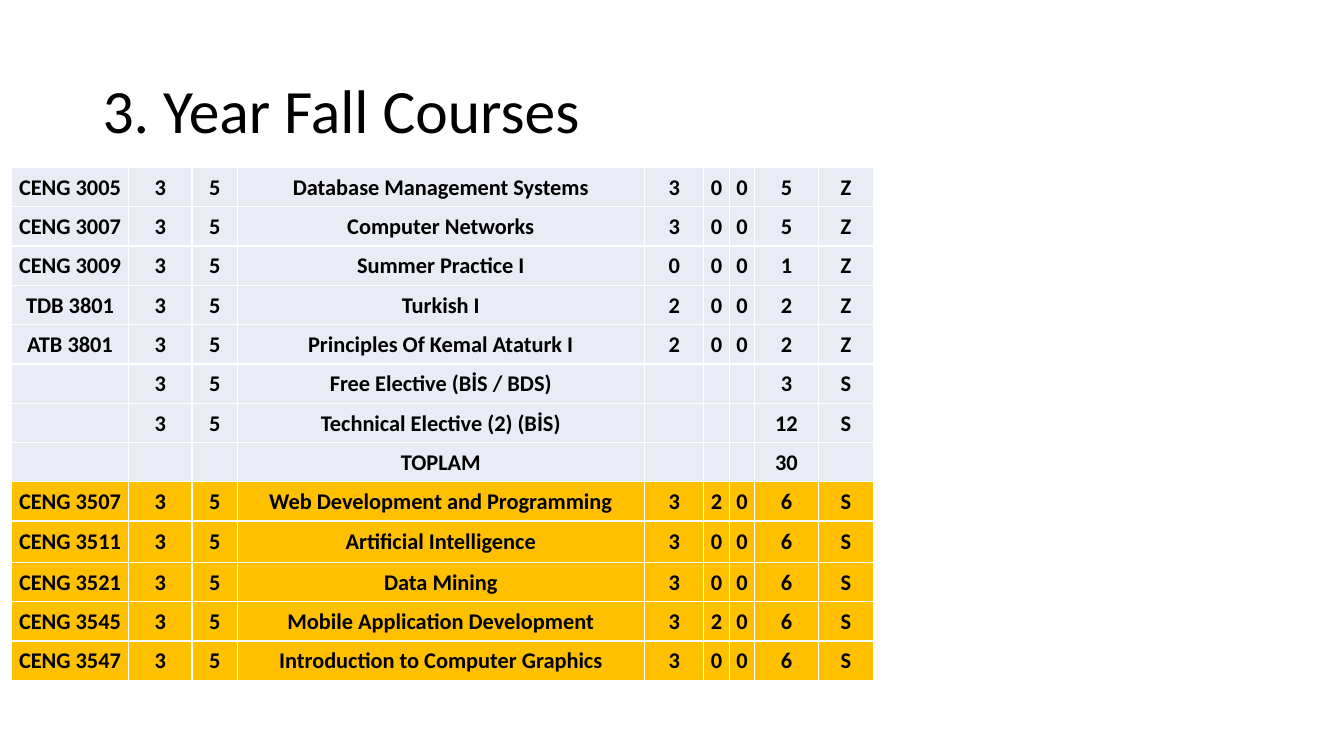
from lxml import etree
from pptx import Presentation
from pptx.dml.color import RGBColor
from pptx.enum.text import MSO_ANCHOR, PP_ALIGN
from pptx.oxml.ns import qn
from pptx.util import Cm, Pt

MIDDLE = MSO_ANCHOR.MIDDLE
LEFT, CENTER = PP_ALIGN.LEFT, PP_ALIGN.CENTER
TITLE_ONLY = 5

COLORS = {"text": "000000", "border": "FFFFFF", "required": "E9EBF5", "elective": "FFC000"}
FONT = "Calibri"

TITLE = "3. Year Fall Courses"
# code, year, semester, course, theory, practice, lab, credits, type
REQUIRED = [
    ("CENG 3005", "3", "5", "Database Management Systems", "3", "0", "0", "5", "Z"),
    ("CENG 3007", "3", "5", "Computer Networks", "3", "0", "0", "5", "Z"),
    ("CENG 3009", "3", "5", "Summer Practice I", "0", "0", "0", "1", "Z"),
    ("TDB 3801", "3", "5", "Turkish I", "2", "0", "0", "2", "Z"),
    ("ATB 3801", "3", "5", "Principles Of Kemal Ataturk I", "2", "0", "0", "2", "Z"),
    ("", "3", "5", "Free Elective (BİS / BDS)", "", "", "", "3", "S"),
    ("", "3", "5", "Technical Elective (2) (BİS)", "", "", "", "12", "S"),
    ("", "", "", "TOPLAM", "", "", "", "30", ""),
]
ELECTIVE = [
    ("CENG 3507", "3", "5", "Web Development and Programming", "3", "2", "0", "6", "S"),
    ("CENG 3511", "3", "5", "Artificial Intelligence", "3", "0", "0", "6", "S"),
    ("CENG 3521", "3", "5", "Data Mining", "3", "0", "0", "6", "S"),
    ("CENG 3545", "3", "5", "Mobile Application Development", "3", "2", "0", "6", "S"),
    ("CENG 3547", "3", "5", "Introduction to Computer Graphics", "3", "0", "0", "6", "S"),
]
COLUMN_WIDTHS = [2.95, 1.6, 1.14, 10.26, 1.5, 0.64, 0.64, 1.6, 1.4]
ROW_HEIGHT, TALL_ROW_HEIGHT = 0.99, 1.04
TALL_COURSE = "CENG 3511"


def add_span(para, text, size, bold=False):
    """Add one formatted run to a paragraph."""
    span = para.add_run()
    span.text = text
    span.font.name = FONT
    span.font.size = Pt(size)
    span.font.bold = bold
    span.font.color.rgb = RGBColor.from_string(COLORS["text"])


def add_borders(cell):
    """Draw a thin line on all four sides of a cell."""
    properties = cell._tc.get_or_add_tcPr()
    for side in ("a:lnL", "a:lnR", "a:lnT", "a:lnB"):
        line = etree.SubElement(properties, qn(side), w=str(Pt(1)))
        fill = etree.SubElement(line, qn("a:solidFill"))
        etree.SubElement(fill, qn("a:srgbClr"), val=COLORS["border"])


def fill_cell(cell, text, color):
    """Format a table cell and write its text."""
    add_borders(cell)
    cell.fill.solid()
    cell.fill.fore_color.rgb = RGBColor.from_string(color)
    cell.vertical_anchor = MIDDLE
    cell.margin_left = cell.margin_right = cell.margin_top = Cm(0.03)
    cell.margin_bottom = 0
    para = cell.text_frame.paragraphs[0]
    para.alignment = CENTER
    if text:
        add_span(para, text, 16, bold=True)


def add_title(page):
    """Place the slide title."""
    box = page.shapes.title
    box.left, box.top, box.width, box.height = Cm(2.33), Cm(1.01), Cm(29.21), Cm(3.68)
    box.text_frame.vertical_anchor = MIDDLE
    para = box.text_frame.paragraphs[0]
    para.alignment = LEFT
    para.line_spacing = 0.9
    add_span(para, TITLE, 44)


def add_courses(page):
    """Build the course table, one fill colour per group."""
    courses = [(row, COLORS["required"]) for row in REQUIRED]
    courses += [(row, COLORS["elective"]) for row in ELECTIVE]
    heights = [TALL_ROW_HEIGHT if row[0] == TALL_COURSE else ROW_HEIGHT for row, _ in courses]
    table = page.shapes.add_table(
        len(courses), len(COLUMN_WIDTHS), Cm(0.29), Cm(4.22),
        Cm(sum(COLUMN_WIDTHS)), Cm(sum(heights))).table
    table.first_row = table.horz_banding = False
    for column, width in zip(table.columns, COLUMN_WIDTHS):
        column.width = Cm(width)
    for table_row, height, (values, color) in zip(table.rows, heights, courses):
        table_row.height = Cm(height)
        for cell, text in zip(table_row.cells, values):
            fill_cell(cell, text, color)


deck = Presentation()
deck.slide_width, deck.slide_height = Cm(33.87), Cm(19.05)
page = deck.slides.add_slide(deck.slide_layouts[TITLE_ONLY])
add_title(page)
add_courses(page)
deck.save("out.pptx")
